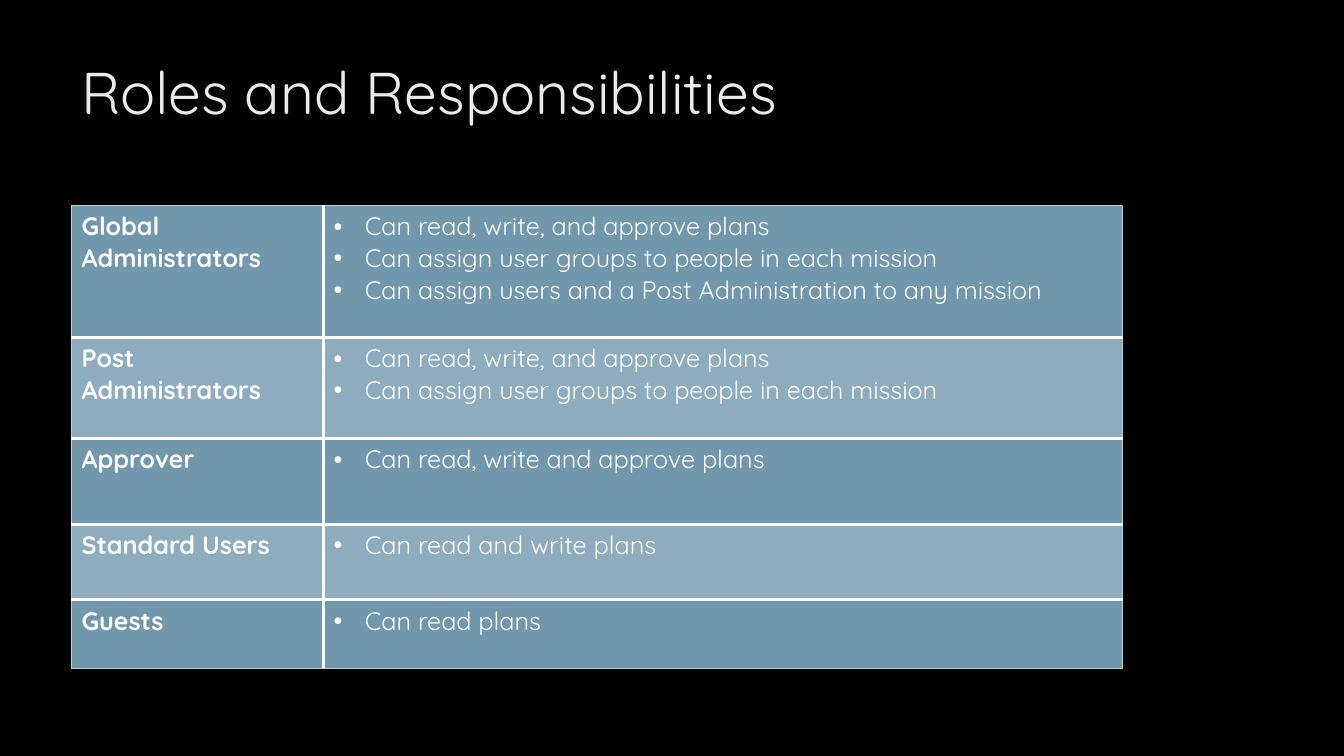
from lxml.etree import SubElement
from pptx import Presentation
from pptx.dml.color import RGBColor
from pptx.enum.text import MSO_ANCHOR
from pptx.oxml import parse_xml
from pptx.oxml.ns import nsdecls, qn
from pptx.util import Inches, Pt

FONT = "Quicksand"
WHITE, EDGE = "FFFFFF", "C3CED4"
BANDS = ("7197AC", "8DACBD")
COLUMN_WIDTHS = (2.5, 7.92)
ROLES = [
    ("Global Administrators", 1.31, [
        "Can read, write, and approve plans",
        "Can assign user groups to people in each mission",
        "Can assign users and a Post Administration to any mission"]),
    ("Post Administrators", 1, [
        "Can read, write, and approve plans",
        "Can assign user groups to people in each mission"]),
    ("Approver", 0.85, ["Can read, write and approve plans"]),
    ("Standard Users", 0.75, ["Can read and write plans"]),
    ("Guests", 0.68, ["Can read plans"]),
]


def color(value):
    """Turn a hex string into a colour."""
    return RGBColor.from_string(value)


def write(frame, lines, size=18, ink=WHITE, bold=False, bullet=False):
    """Fill a text frame with one paragraph per line."""
    frame.word_wrap = True
    for index, line in enumerate(lines):
        para = frame.add_paragraph() if index else frame.paragraphs[0]
        span = para.add_run()
        span.text = line
        span.font.name = FONT
        span.font.size = Pt(size)
        span.font.bold = bold
        span.font.color.rgb = color(ink)
        if bullet:
            properties = para._p.get_or_add_pPr()
            properties.set("marL", str(Inches(0.31)))
            properties.set("indent", str(-Inches(0.31)))
            SubElement(properties, qn("a:buFont"), typeface="Arial")
            SubElement(properties, qn("a:buChar"), char="•")


def set_borders(cell, outer):
    """Draw thin lines on the outer sides of a cell, thick ones elsewhere."""
    properties = cell._tc.get_or_add_tcPr()
    for index, side in enumerate("LRTB"):
        ink, width = (EDGE, 0.75) if side in outer else (WHITE, 2.25)
        properties.insert(index, parse_xml(
            f'<a:ln{side} {nsdecls("a")} w="{Pt(width)}"><a:solidFill>'
            f'<a:srgbClr val="{ink}"/></a:solidFill></a:ln{side}>'))


def add_title(page, box, text):
    """Place the slide title at the top of its box."""
    frame = page.shapes.add_textbox(*map(Inches, box)).text_frame
    frame.vertical_anchor = MSO_ANCHOR.TOP
    write(frame, [text], size=42, ink="EBEBEB")


def add_roles(page, box):
    """Place the table of roles and what each may do."""
    table = page.shapes.add_table(
        len(ROLES), len(COLUMN_WIDTHS), *map(Inches, box)).table
    table.first_row = table.horz_banding = False
    for column, width in zip(table.columns, COLUMN_WIDTHS):
        column.width = Inches(width)
    for index, (role, height, duties) in enumerate(ROLES):
        table.rows[index].height = Inches(height)
        name_cell, duty_cell = table.rows[index].cells
        write(name_cell.text_frame, [role], bold=True)
        write(duty_cell.text_frame, duties, bullet=True)
        ends = "T" * (index == 0) + "B" * (index == len(ROLES) - 1)
        for cell, side in ((name_cell, "L"), (duty_cell, "R")):
            cell.fill.solid()
            cell.fill.fore_color.rgb = color(BANDS[index % 2])
            set_borders(cell, side + ends)


def build_deck():
    """Build the one-slide deck."""
    deck = Presentation()
    deck.slide_width, deck.slide_height = Inches(13.33), Inches(7.5)
    page = deck.slides.add_slide(deck.slide_layouts[6])
    page.background.fill.solid()
    page.background.fill.fore_color.rgb = color("000000")
    add_title(page, (0.71, 0.5, 10.29, 1.53), "Roles and Responsibilities")
    add_roles(page, (0.71, 2.04, 10.42, 4.59))
    return deck


build_deck().save("out.pptx")
